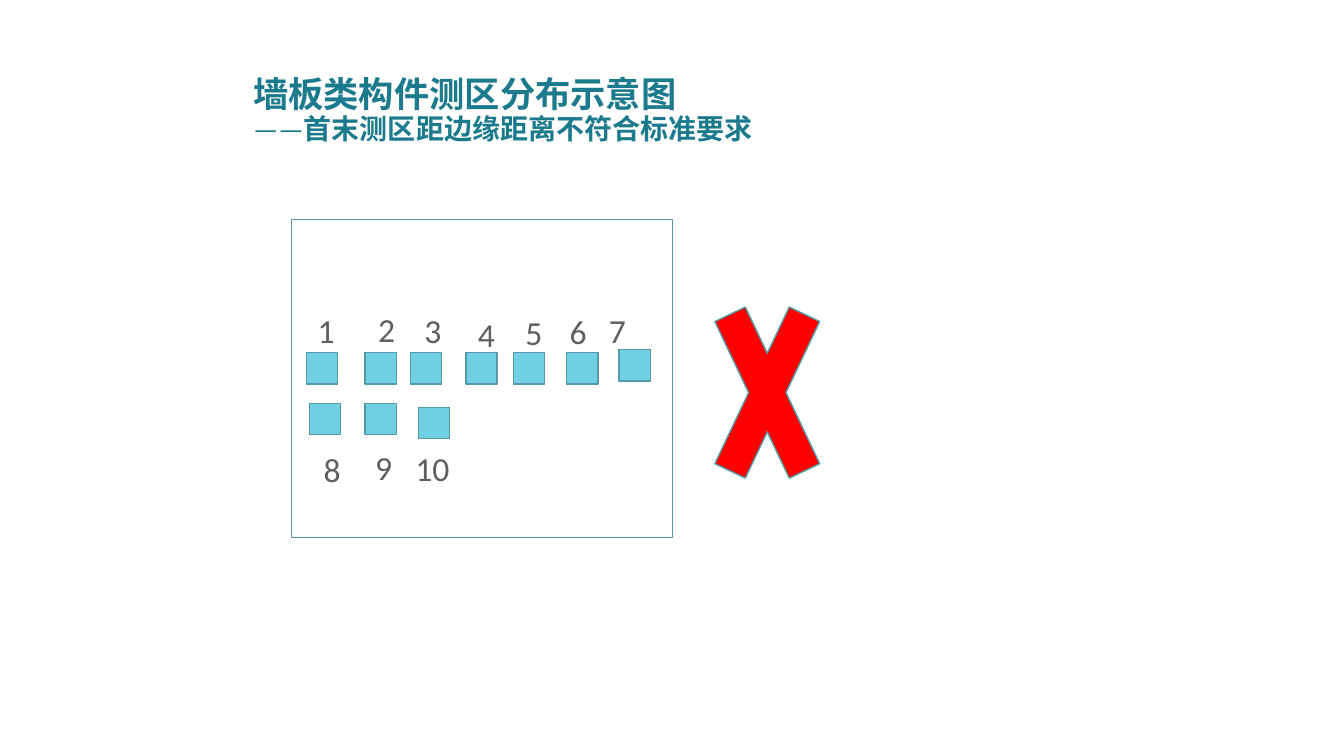
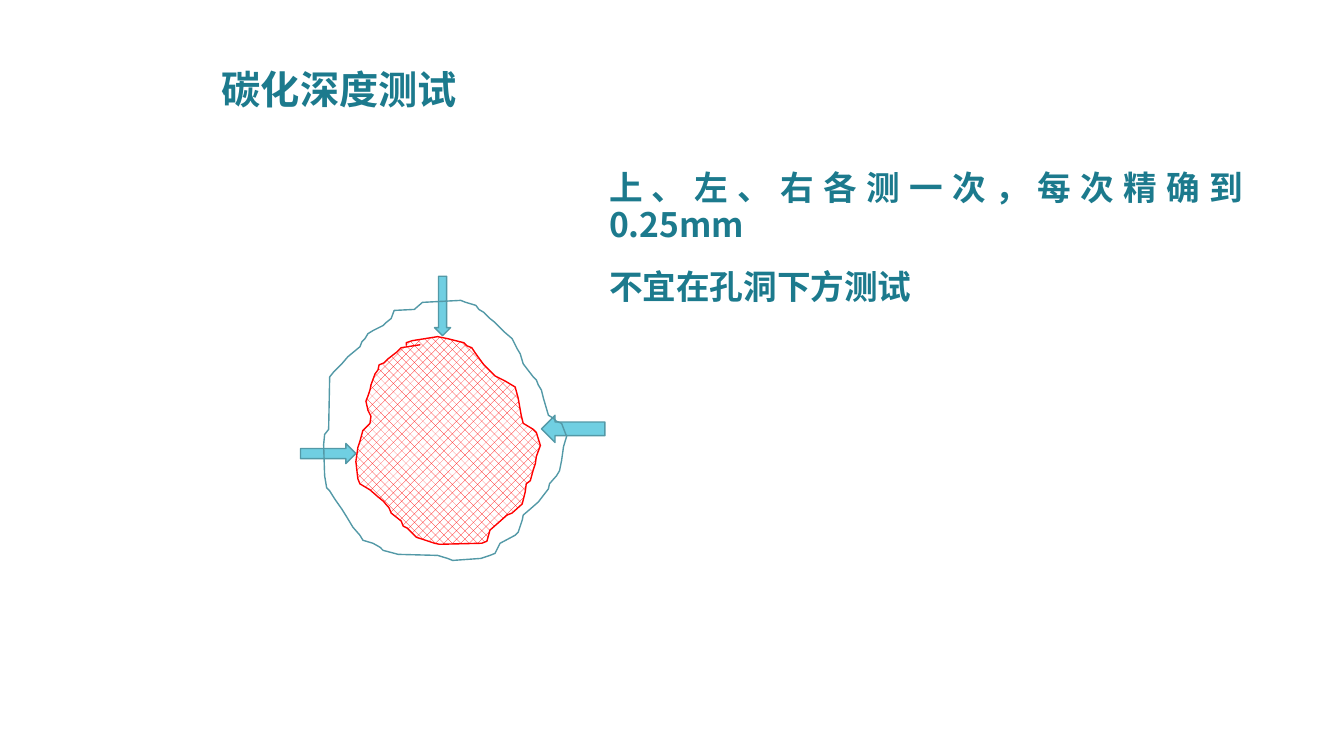
"""Build two slides on test zones of wall panels and on carbonation depth."""
from lxml.etree import SubElement
from pptx import Presentation
from pptx.dml.color import RGBColor
from pptx.enum.dml import MSO_PATTERN
from pptx.enum.shapes import MSO_SHAPE as SHAPE
from pptx.enum.text import MSO_ANCHOR as ANCHOR, MSO_AUTO_SIZE as AUTO, PP_ALIGN as ALIGN
from pptx.oxml.ns import qn
from pptx.util import Inches, Pt

COLORS = {"title": "1C7A8D", "label": "5F5F5F", "fill": "70CFE2",
          "line": "5399A7", "red": "FF0000", "white": "FFFFFF"}
CJK, LATIN = "Noto Sans CJK SC", "Calibri"
HUNDREDTH = 9144
ZONE = 0.31

ZONE_TITLE = "墙板类构件测区分布示意图"
ZONE_DASH, ZONE_SUBTITLE = "——", "首末测区距边缘距离不符合标准要求"
DEPTH_TITLE = "碳化深度测试"
DEPTH_NOTES = ["上、左、右各测一次，每次精确到0.25mm", "不宜在孔洞下方测试"]

ZONES = [
    ("1", (3.04, 3.5), (3.09, 3.03)), ("2", (3.62, 3.5), (3.69, 3.02)),
    ("3", (4.07, 3.5), (4.15, 3.03)), ("4", (4.62, 3.5), (4.68, 3.07)),
    ("5", (5.09, 3.5), (5.15, 3.05)), ("6", (5.62, 3.5), (5.59, 3.04)),
    ("7", (6.14, 3.47), (5.98, 3.03)), ("8", (3.07, 4), (3.15, 4.4)),
    ("9", (3.62, 4), (3.66, 4.38)), ("10", (4.15, 4.04), (4.06, 4.39)),
]
PANEL = (2.89, 2.18, 3.78, 3.15)
CROSS = (6.9, 2.4, 1.42, 2.99)
ARROWS = [
    (SHAPE.DOWN_ARROW, (4.31, 2.74, 0.16, 0.59)),
    (SHAPE.RIGHT_ARROW, (2.98, 4.4, 0.55, 0.2)),
    (SHAPE.LEFT_ARROW, (5.37, 4.12, 0.63, 0.27)),
]
HOLE = [
    (417, 342), (398, 345), (394, 349), (385, 356), (381, 360), (376, 362),
    (375, 367), (372, 371), (368, 382), (367, 387), (365, 393), (363, 398),
    (365, 407), (368, 413), (367, 420), (360, 427), (357, 438), (355, 444),
    (353, 458), (355, 475), (357, 480), (367, 486), (375, 493), (380, 497),
    (386, 504), (388, 509), (398, 517), (400, 522), (404, 524), (413, 533),
    (431, 539), (436, 540), (478, 539), (483, 537), (486, 526), (503, 511),
    (508, 509), (518, 500), (521, 488), (522, 480), (526, 477), (529, 466),
    (531, 460), (532, 453), (536, 442), (532, 429), (529, 426), (519, 420),
    (517, 412), (514, 395), (511, 384), (501, 378), (491, 373), (480, 362),
    (472, 351), (468, 345), (463, 343), (460, 340), (444, 336), (434, 334),
    (409, 338), (403, 340), (403, 343),
]
RIM = [
    (391, 308), (388, 316), (383, 320), (380, 323), (370, 328), (365, 331),
    (362, 336), (359, 339), (357, 344), (345, 354), (339, 361), (334, 366),
    (331, 369), (327, 374), (326, 426), (322, 431), (321, 441), (322, 472),
    (324, 484), (327, 487), (332, 495), (339, 505), (344, 513), (350, 523),
    (357, 531), (360, 536), (370, 539), (377, 543), (380, 546), (395, 550),
    (434, 551), (444, 554), (449, 556), (477, 554), (486, 551), (491, 549),
    (496, 539), (511, 531), (514, 528), (518, 516), (519, 511), (526, 505),
    (534, 498), (544, 485), (545, 480), (552, 472), (555, 467), (557, 457),
    (559, 443), (562, 433), (557, 420), (552, 418), (549, 415), (544, 412),
    (539, 395), (537, 387), (534, 382), (532, 377), (529, 374), (519, 361),
    (516, 351), (513, 346), (508, 336), (501, 330), (496, 325), (491, 320),
    (486, 316), (480, 310), (475, 307), (472, 303), (462, 300), (457, 298),
    (419, 300), (411, 307),
]


def rgb(name):
    return RGBColor.from_string(COLORS[name])


def place(s, box):
    s.left, s.top, s.width, s.height = (Inches(v) for v in box)
    return s


def add_text(p, text, size, color="title", font=CJK, bold=True):
    r = p.add_run()
    r.text = text
    r.font.size, r.font.bold = Pt(size), bold
    r.font.color.rgb = rgb(color)
    r.font.name = font
    SubElement(r._r.get_or_add_rPr(), qn("a:ea"), typeface=font)


def outline(s, line="line", fill=None):
    s.shadow.inherit = False
    s.line.color.rgb, s.line.width = rgb(line), Pt(1)
    if fill:
        s.fill.solid()
        s.fill.fore_color.rgb = rgb(fill)
    else:
        s.fill.background()
    return s


def add_shape(slide, kind, box, fill=None):
    s = slide.shapes.add_shape(kind, *(Inches(v) for v in box))
    return outline(s, fill=fill)


def add_freeform(slide, points, line="line", close=False):
    builder = slide.shapes.build_freeform(*points[0], scale=HUNDREDTH)
    builder.add_line_segments(points[1:], close=close)
    return outline(builder.convert_to_shape(), line)


def add_title(slide, box):
    tf = place(slide.shapes.title, box).text_frame
    tf.vertical_anchor, tf.auto_size, tf.word_wrap = ANCHOR.MIDDLE, AUTO.NONE, True
    p = tf.paragraphs[0]
    p.alignment, p.line_spacing = ALIGN.LEFT, 0.9
    return p


def add_label(slide, text, left, top):
    s = slide.shapes.add_textbox(*(Inches(v) for v in (left, top, 0.55, 0.5)))
    tf = s.text_frame
    tf.word_wrap, tf.margin_left, tf.margin_right = True, Inches(0.06), 0
    add_text(tf.paragraphs[0], text, 24, "label", LATIN, False)


def add_notes_list(slide, notes, box):
    tf = place(slide.placeholders[1], box).text_frame
    tf.auto_size, tf.word_wrap = AUTO.NONE, True
    for i, note in enumerate(notes):
        p = tf.add_paragraph() if i else tf.paragraphs[0]
        pPr = p._p.get_or_add_pPr()
        pPr.set("marL", "0")
        pPr.set("indent", "0")
        SubElement(pPr, qn("a:buNone"))
        p.alignment, p.line_spacing = ALIGN.JUSTIFY, 0.92
        p.space_before = Pt(18 if i else 0)
        add_text(p, note, 24)


def build_zones(prs):
    slide = prs.slides.add_slide(prs.slide_layouts[5])
    p = add_title(slide, (2.41, 0.68, 8.67, 0.85))
    add_text(p, ZONE_TITLE, 25.2)
    p.add_line_break()
    add_text(p, ZONE_DASH, 20, font=LATIN, bold=False)
    add_text(p, ZONE_SUBTITLE, 20)
    add_shape(slide, SHAPE.RECTANGLE, PANEL)
    for number, zone, label in ZONES:
        add_shape(slide, SHAPE.RECTANGLE, (*zone, ZONE, ZONE), "fill")
        add_label(slide, number, *label)
    add_shape(slide, SHAPE.MATH_MULTIPLY, CROSS, "red")


def build_depth(prs):
    slide = prs.slides.add_slide(prs.slide_layouts[1])
    add_text(add_title(slide, (2.1, 0.36, 2.84, 1.1)), DEPTH_TITLE, 28)
    add_notes_list(slide, DEPTH_NOTES, (5.94, 1.64, 6.49, 1.69))
    for kind, box in ARROWS:
        add_shape(slide, kind, box, "fill")
    hole = add_freeform(slide, HOLE, "red")
    hole.fill.patterned()
    hole.fill.pattern = MSO_PATTERN.from_xml("pct40")
    hole.fill.fore_color.rgb, hole.fill.back_color.rgb = rgb("red"), rgb("white")
    add_freeform(slide, RIM, close=True)


def main():
    prs = Presentation()
    prs.slide_width, prs.slide_height = Inches(13.33), Inches(7.5)
    build_zones(prs)
    build_depth(prs)
    prs.save("out.pptx")


if __name__ == "__main__":
    main()
